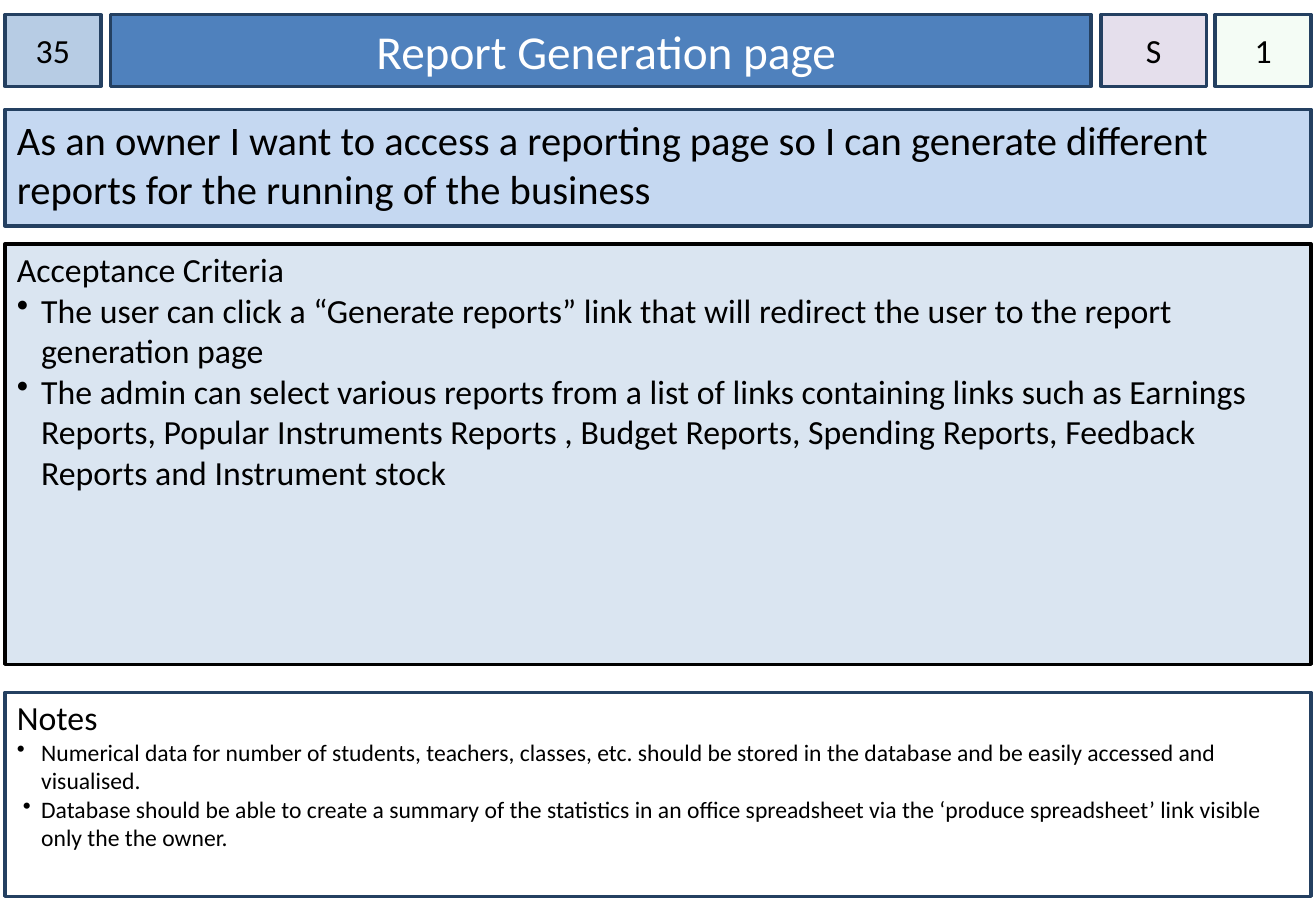
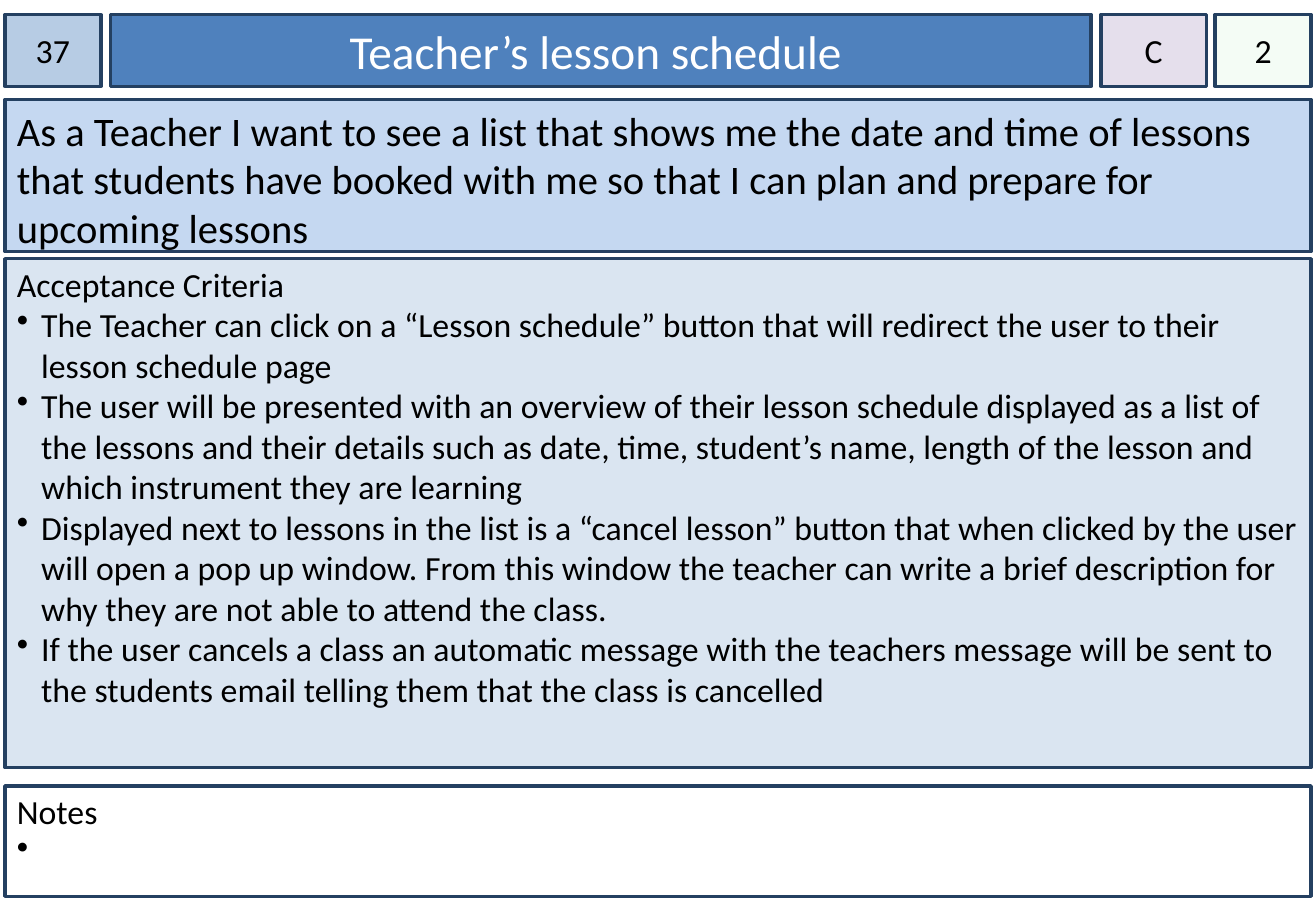
import dataclasses

import pptx
import pptx.dml.color
import pptx.enum.shapes
import pptx.enum.text
import pptx.oxml
import pptx.oxml.ns
import pptx.util

Inches = pptx.util.Inches
Pt = pptx.util.Pt
RGB = pptx.dml.color.RGBColor.from_string
ALIGN = pptx.enum.text.PP_ALIGN
ANCHOR = pptx.enum.text.MSO_ANCHOR


@dataclasses.dataclass(frozen=True)
class Theme:
    font: str = "Calibri"
    ink: str = "000000"
    paper: str = "FFFFFF"
    border: str = "244061"
    number: str = "B7CCE4"
    title: str = "4F81BD"
    priority: str = "E5DFEC"
    estimate: str = "CCF0CD"
    estimate_opacity: int = 20
    story: str = "C5D8F1"
    criteria: str = "DAE5F1"
    title_size: int = 28
    story_size: int = 24
    body_size: int = 20
    note_size: int = 14
    line_width: int = 2
    indent: float = 0.2


@dataclasses.dataclass(frozen=True)
class Band:
    top: float
    height: float


HEADER = Band(0.12, 0.59)
LEFT, WIDTH = 0.04, 10.75


class StoryCards:
    def __init__(self, theme):
        self.theme = theme
        self.deck = pptx.Presentation()
        self.deck.slide_width = Inches(10.83)
        self.deck.slide_height = Inches(7.5)
        self.slide = None

    def start_card(self):
        self.slide = self.deck.slides.add_slide(self.deck.slide_layouts[6])

    def box(self, left, width, band, fill, border=None, side=0.1, top=0.05,
            anchor=ANCHOR.TOP):
        """Draw a bordered rectangle and return it."""
        shape = self.slide.shapes.add_shape(
            pptx.enum.shapes.MSO_SHAPE.RECTANGLE,
            Inches(left), Inches(band.top), Inches(width), Inches(band.height))
        shape.shadow.inherit = False
        shape.fill.solid()
        shape.fill.fore_color.rgb = RGB(fill)
        shape.line.color.rgb = RGB(border or self.theme.border)
        shape.line.width = Pt(self.theme.line_width)
        frame = shape.text_frame
        frame.word_wrap = True
        frame.vertical_anchor = anchor
        frame.margin_left = frame.margin_right = Inches(side)
        frame.margin_top, frame.margin_bottom = Inches(top), Inches(0.05)
        return shape

    def add_text(self, paragraph, text, size, color=None, align=ALIGN.LEFT):
        paragraph.alignment = align
        run = paragraph.add_run()
        run.text = text
        run.font.name = self.theme.font
        run.font.size = Pt(size)
        run.font.color.rgb = RGB(color or self.theme.ink)

    def bullet(self, frame, text, size, hanging):
        paragraph = frame.add_paragraph()
        props = paragraph._p.get_or_add_pPr()
        props.set("marL", str(Inches(self.theme.indent)))
        props.set("indent", str(-Inches(hanging)))
        namespace = pptx.oxml.ns.nsdecls("a")
        for xml in (
            f'<a:buClr {namespace}><a:srgbClr val="{self.theme.ink}"/></a:buClr>',
            f'<a:buChar {namespace} char="•"/>',
        ):
            props.append(pptx.oxml.parse_xml(xml))
        self.add_text(paragraph, text, size)

    def header_cell(self, left, width, text, fill, size=None, color=None, side=0):
        cell = self.box(left, width, HEADER, fill, side=side, anchor=ANCHOR.MIDDLE)
        self.add_text(cell.text_frame.paragraphs[0], text,
                      size or self.theme.body_size, color, ALIGN.CENTER)
        return cell

    def set_opacity(self, shape, percent):
        color = shape.element.spPr.find(pptx.oxml.ns.qn("a:solidFill"))[0]
        color.append(pptx.oxml.parse_xml(
            f'<a:alpha {pptx.oxml.ns.nsdecls("a")} val="{percent * 1000}"/>'))

    def header(self, number, title, priority, estimate):
        theme = self.theme
        self.header_cell(LEFT, 0.79, number, theme.number)
        self.header_cell(0.91, 8.07, title, theme.title,
                         theme.title_size, theme.paper, side=0.1)
        self.header_cell(9.06, 0.87, priority, theme.priority)
        estimate_cell = self.header_cell(10, 0.79, estimate, theme.estimate)
        self.set_opacity(estimate_cell, theme.estimate_opacity)

    def story(self, band, text):
        frame = self.box(LEFT, WIDTH, band, self.theme.story).text_frame
        self.add_text(frame.paragraphs[0], text, self.theme.story_size)

    def listing(self, band, heading, items, fill, size, border=None):
        """Draw a headed list; items are (text, hanging indent) pairs."""
        frame = self.box(LEFT, WIDTH, band, fill, border, top=0.04).text_frame
        self.add_text(frame.paragraphs[0], heading, self.theme.body_size)
        for text, hanging in items:
            self.bullet(frame, text, size, hanging)

    def card(self, header, story_band, story, criteria_band, criteria,
             notes_band, notes, note_size, criteria_border=None):
        self.start_card()
        indent = self.theme.indent
        self.listing(criteria_band, "Acceptance Criteria",
                     [(text, indent) for text in criteria],
                     self.theme.criteria, self.theme.body_size, criteria_border)
        self.header(*header)
        self.story(story_band, story)
        self.listing(notes_band, "Notes", notes, self.theme.paper, note_size)


def main():
    theme = Theme()
    cards = StoryCards(theme)
    cards.card(
        header=("35", " Report Generation page", "S", "1"),
        story_band=Band(0.9, 0.96),
        story="As an owner I want to access a reporting page so I can generate "
              "different reports for the running of the business",
        criteria_band=Band(2.01, 3.46),
        criteria=[
            "The user can click a “Generate reports” link that will redirect the "
            "user to the report generation page",
            "The admin can select various reports from a list of links containing "
            "links such as Earnings Reports, Popular Instruments Reports , Budget "
            "Reports, Spending Reports, Feedback Reports and Instrument stock",
        ],
        criteria_border=theme.ink,
        notes_band=Band(5.7, 1.68),
        notes=[
            ("Numerical data for number of students, teachers, classes, etc. should "
             "be stored in the database and be easily accessed and visualised.",
             theme.indent),
            ("Database should be able to create a summary of the statistics in an "
             "office spreadsheet via the ‘produce spreadsheet’ link visible only "
             "the the owner.", 0.15),
        ],
        note_size=theme.note_size,
    )
    cards.card(
        header=("37", "Teacher’s lesson schedule ", "C", "2"),
        story_band=Band(0.82, 1.25),
        story="As a Teacher I want to see a list that shows me the date and time of "
              "lessons that students have booked with me so that I can plan and "
              "prepare for upcoming lessons",
        criteria_band=Band(2.13, 4.19),
        criteria=[
            "The Teacher can click on a “Lesson schedule” button that will redirect "
            "the user to their lesson schedule page",
            "The user will be presented with an overview of their lesson schedule "
            "displayed as a list of the lessons and their details such as date, "
            "time, student’s name, length of the lesson and which instrument they "
            "are learning",
            "Displayed next to lessons in the list is a “cancel lesson” button that "
            "when clicked by the user will open a pop up window. From this window "
            "the teacher can write a brief description for why they are not able "
            "to attend the class.",
            "If the user cancels a class an automatic message with the teachers "
            "message will be sent to the students email telling them that the "
            "class is cancelled",
        ],
        notes_band=Band(6.47, 0.91),
        notes=[(" ", theme.indent)],
        note_size=theme.body_size,
    )
    cards.deck.save("out.pptx")


if __name__ == "__main__":
    main()
